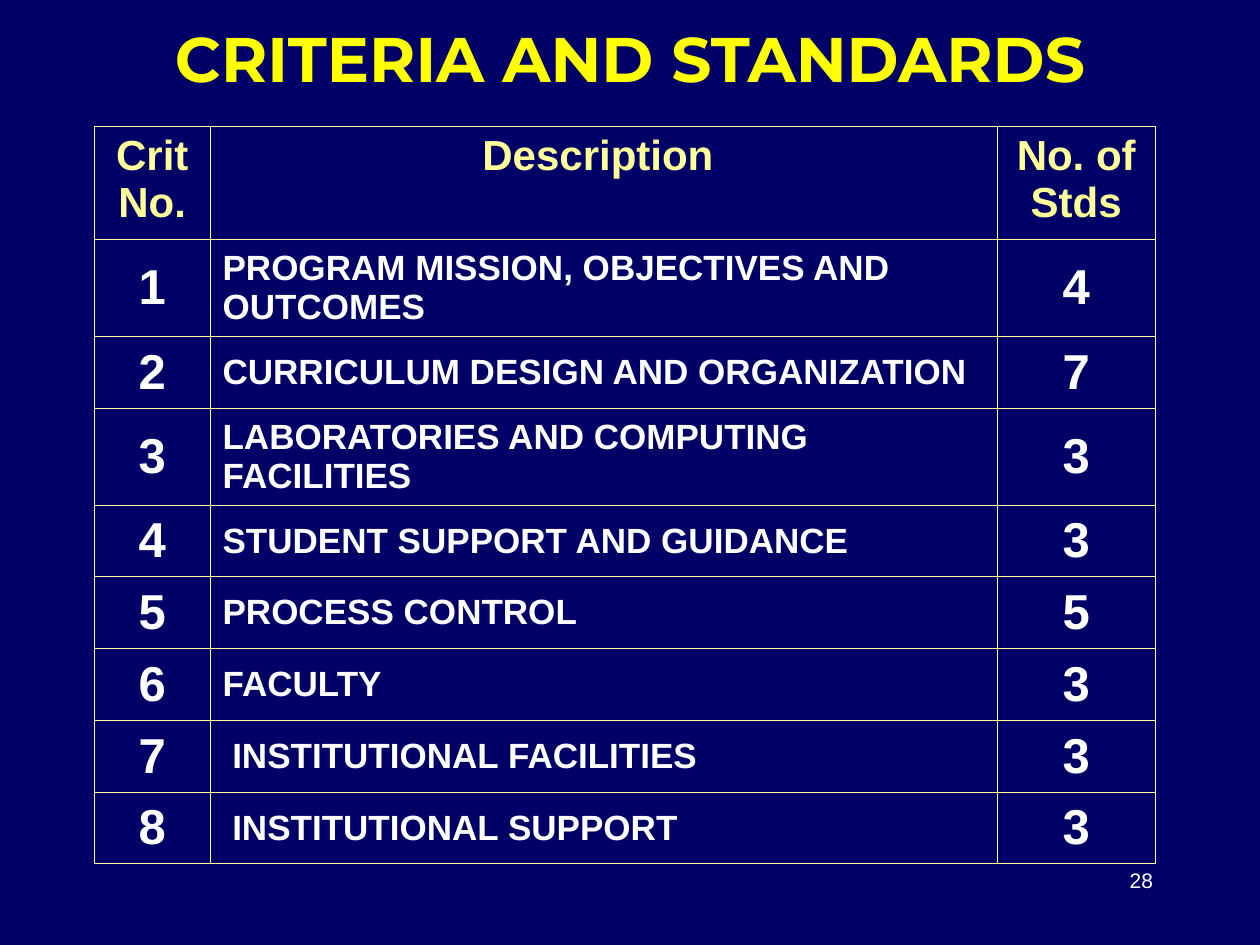
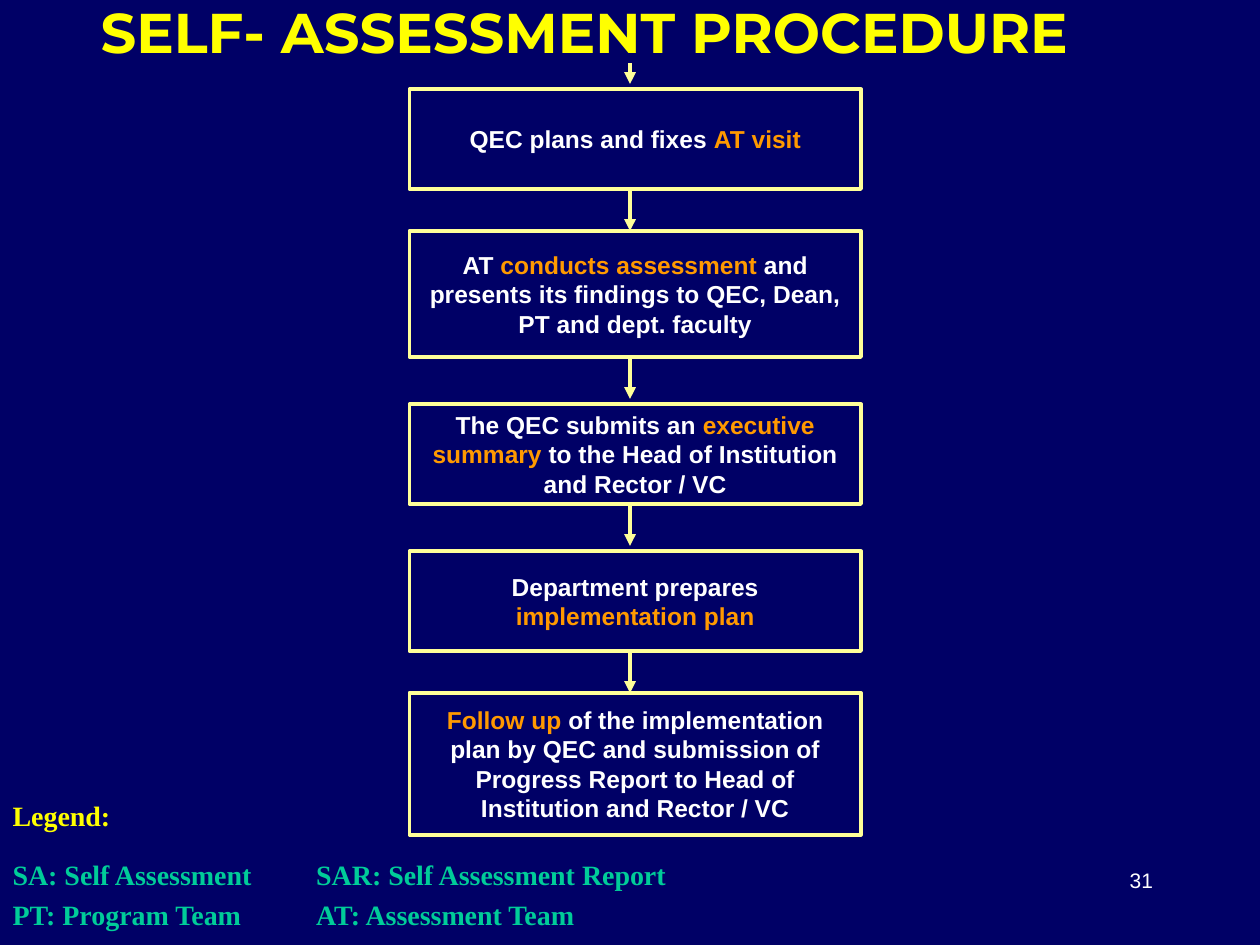
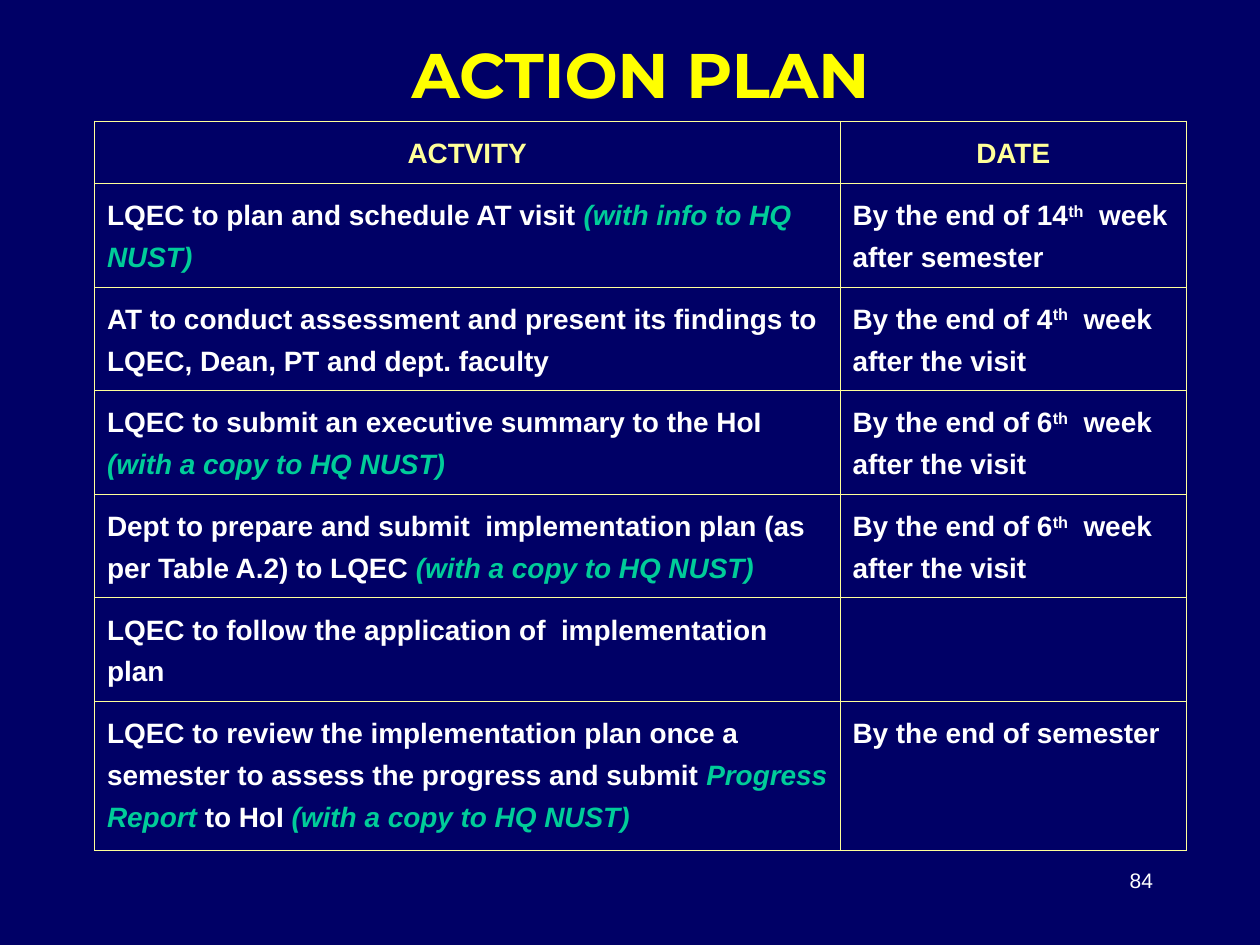
from dataclasses import dataclass
from typing import NamedTuple

from lxml import etree
from pptx import Presentation
from pptx.dml.color import RGBColor
from pptx.enum.shapes import MSO_CONNECTOR as CONNECTOR, MSO_SHAPE as SHAPE
from pptx.enum.text import MSO_ANCHOR as ANCHOR, PP_ALIGN as ALIGN
from pptx.oxml.ns import qn
from pptx.util import Pt

NAVY = RGBColor(0x00, 0x00, 0x66)
YELLOW = RGBColor(0xFF, 0xFF, 0x00)
CREAM = RGBColor(0xFF, 0xFF, 0x99)
ORANGE = RGBColor(0xFF, 0x99, 0x00)
GREEN = RGBColor(0x00, 0xCC, 0x99)
WHITE = RGBColor(0xFF, 0xFF, 0xFF)

BODY_FONT, TITLE_FONT, LEGEND_FONT = "Arial", "Montserrat", "Times New Roman"
PLAIN_TABLE = "{2D5ABB26-0587-4C30-8999-92F81FD0307C}"


class Span(NamedTuple):
    """A piece of text that departs from the format of its paragraph."""
    text: str
    color: RGBColor | None = None
    italic: bool = False
    superscript: bool = False


class Box(NamedTuple):
    """A rectangle in points."""
    left: float
    top: float
    width: float
    height: float


@dataclass
class Style:
    """The text format of a table cell."""
    size: float
    color: RGBColor = WHITE
    align: ALIGN = ALIGN.LEFT
    anchor: ANCHOR = ANCHOR.TOP
    font: str = BODY_FONT
    spacing: float | None = None


@dataclass
class Grid:
    """The place and track sizes of a table."""
    left: float
    top: float
    cols: list[float]
    rows: list[float]
    border: RGBColor | None = None


@dataclass
class Step:
    """A box of the procedure."""
    top: float
    height: float
    text: list


def write(tf, text, *, size, color=WHITE, font=BODY_FONT, bold=True,
          align=ALIGN.LEFT, spacing=None) -> None:
    """Fill a text frame with one paragraph of strings and spans."""
    p = tf.paragraphs[0]
    p.alignment = align
    if spacing:
        p.line_spacing = spacing
    for part in [text] if isinstance(text, str) else text:
        span = Span(part) if isinstance(part, str) else part
        r = p.add_run()
        r.text = span.text
        f = r.font
        f.name, f.size, f.bold = font, Pt(size), bold
        f.italic = span.italic
        f.color.rgb = span.color or color
        if span.superscript:
            r._r.get_or_add_rPr().set("baseline", "30000")


def add_text(s, box: Box, text, anchor=ANCHOR.TOP, **fmt) -> None:
    """Add a wrapped text box."""
    tf = s.shapes.add_textbox(*map(Pt, box)).text_frame
    tf.word_wrap = True
    tf.vertical_anchor = anchor
    write(tf, text, **fmt)


def add_slide(prs, title: str, box: Box, number: int, *, size=36,
              align=ALIGN.CENTER):
    """Add a slide with its title and page number."""
    s = prs.slides.add_slide(prs.slide_layouts[6])
    add_text(s, box, title, ANCHOR.MIDDLE, size=size, color=YELLOW,
             font=TITLE_FONT, align=align)
    add_text(s, Box(516, 492, 150, 36), str(number), size=12, bold=False,
             align=ALIGN.RIGHT)
    return s


def add_borders(cell, color: RGBColor) -> None:
    """Draw a thin line on the four sides of a cell."""
    tc_pr = cell._tc.get_or_add_tcPr()
    for side in ("a:lnL", "a:lnR", "a:lnT", "a:lnB"):
        ln = etree.SubElement(tc_pr, qn(side), w=str(Pt(0.45)))
        fill = etree.SubElement(ln, qn("a:solidFill"))
        etree.SubElement(fill, qn("a:srgbClr"), val=str(color))


def add_grid(s, grid: Grid, rows: list, header: list[Style],
             body: list[Style]) -> None:
    """Add a table whose columns each have a header and a body style."""
    frame = s.shapes.add_table(
        len(grid.rows), len(grid.cols), Pt(grid.left), Pt(grid.top),
        Pt(sum(grid.cols)), Pt(sum(grid.rows)))
    table = frame.table
    table.first_row = table.horz_banding = False
    table._tbl.tblPr.find(qn("a:tableStyleId")).text = PLAIN_TABLE
    for col, width in zip(table.columns, grid.cols):
        col.width = Pt(width)
    for i, (row, height, texts) in enumerate(
            zip(table.rows, grid.rows, rows)):
        row.height = Pt(height)
        for cell, text, style in zip(row.cells, texts, body if i else header):
            if grid.border:
                add_borders(cell, grid.border)
            cell.fill.background()
            cell.vertical_anchor = style.anchor
            if text:
                write(cell.text_frame, text, size=style.size,
                      color=style.color, font=style.font, align=style.align,
                      spacing=style.spacing)


def add_step(s, step: Step) -> None:
    """Add an outlined box of the procedure."""
    sp = s.shapes.add_shape(SHAPE.RECTANGLE, Pt(234), Pt(step.top), Pt(258),
                            Pt(step.height))
    sp.shadow.inherit = False
    sp.fill.background()
    sp.line.color.rgb = CREAM
    sp.line.width = Pt(2.2)
    tf = sp.text_frame
    tf.word_wrap = True
    tf.vertical_anchor = ANCHOR.MIDDLE
    write(tf, step.text, size=14, align=ALIGN.CENTER)


def add_arrow(s, top: float, length: float) -> None:
    """Add a downward arrow on the centre line."""
    c = s.shapes.add_connector(CONNECTOR.STRAIGHT, Pt(360), Pt(top), Pt(360),
                               Pt(top + length))
    c.line.color.rgb = CREAM
    c.line.width = Pt(2.25)
    etree.SubElement(c.line._get_or_add_ln(), qn("a:tailEnd"),
                     type="triangle")
    etree.SubElement(c._element.spPr, qn("a:effectLst"))


def criteria_slide(prs) -> None:
    """Build the table of criteria."""
    s = add_slide(prs, "CRITERIA AND STANDARDS", Box(54, 6, 612, 54), 28)
    criteria = [
        ("PROGRAM MISSION, OBJECTIVES AND OUTCOMES", 4),
        ("CURRICULUM DESIGN AND ORGANIZATION", 7),
        ("LABORATORIES AND COMPUTING FACILITIES", 3),
        ("STUDENT SUPPORT AND GUIDANCE", 3),
        ("PROCESS CONTROL", 5),
        ("FACULTY", 3),
        (" INSTITUTIONAL FACILITIES", 3),
        (" INSTITUTIONAL SUPPORT", 3),
    ]
    rows = [("Crit No.", "Description ", "No. of Stds")]
    rows += [(str(i), name, str(count))
             for i, (name, count) in enumerate(criteria, 1)]
    one_line, two_lines = 41, 55.4
    grid = Grid(54, 72, [66, 450, 90],
                [64.8, two_lines, one_line, two_lines] + [one_line] * 5,
                CREAM)
    head = Style(24, CREAM, ALIGN.CENTER)
    number = Style(28, align=ALIGN.CENTER, anchor=ANCHOR.MIDDLE)
    name = Style(20, anchor=ANCHOR.MIDDLE)
    add_grid(s, grid, rows, [head] * 3, [number, name, number])


def procedure_slide(prs) -> None:
    """Build the flow of the procedure and its legend."""
    s = add_slide(prs, "SELF- ASSESSMENT PROCEDURE", Box(50.4, 0, 634, 36),
                  31, size=32, align=ALIGN.LEFT)
    steps = [
        Step(51, 57, ["QEC plans and fixes ", Span("AT visit", ORANGE)]),
        Step(132, 72, ["AT ", Span("conducts assessment", ORANGE),
                       " and presents its findings to QEC, Dean, "
                       "PT and dept. faculty"]),
        Step(231, 57, ["The QEC submits an ",
                       Span("executive summary", ORANGE),
                       " to the Head of Institution and Rector / VC"]),
        Step(315, 57, ["Department prepares ",
                       Span("implementation plan", ORANGE)]),
        Step(396, 81, [Span("Follow up", ORANGE),
                       " of the implementation plan by QEC and submission of "
                       "Progress Report to Head of Institution and "
                       "Rector / VC"]),
    ]
    for step in steps:
        add_step(s, step)
    add_arrow(s, 36, 12)
    for step in steps[:-1]:
        add_arrow(s, step.top + step.height, 24)

    legend = [
        ("Legend:", ""),
        ("SA: Self Assessment", "SAR: Self Assessment Report"),
        ("PT: Program Team", "AT: Assessment Team"),
    ]
    head, entry = (Style(16, color, font=LEGEND_FONT, spacing=0.8)
                   for color in (YELLOW, GREEN))
    add_grid(s, Grid(0, 457.2, [173.5, 216.5], [33.7, 22.8, 22.8]), legend,
             [head] * 2, [entry] * 2)


def week(number: int, event: str) -> list:
    """Return a deadline with a raised ordinal ending."""
    return [f"By the end of {number}", Span("th", superscript=True),
            f"  week after {event}"]


def plan_slide(prs) -> None:
    """Build the table of activities and dates."""
    s = add_slide(prs, "ACTION PLAN", Box(60, 18, 612, 48), 84)
    copy_note = Span("(with a copy to HQ NUST)", GREEN, italic=True)
    rows = [
        ("ACTVITY", "DATE"),
        (["LQEC to plan and schedule AT visit ",
          Span("(with info to HQ NUST)", GREEN, italic=True)],
         week(14, "semester")),
        ("AT to conduct assessment and present its findings to LQEC, Dean, "
         "PT and dept. faculty", week(4, "the visit")),
        (["LQEC to submit an executive summary to the HoI ", copy_note],
         week(6, "the visit")),
        (["Dept to prepare and submit  implementation plan (as per Table "
          "A.2) to LQEC ", copy_note], week(6, "the visit")),
        ("LQEC to follow the application of  implementation plan", ""),
        (["LQEC to review the implementation plan once a semester to assess "
          "the progress and submit ",
          Span("Progress Report", GREEN, italic=True), " to HoI ", copy_note],
         "By the end of semester"),
    ]
    grid = Grid(54, 69.2, [426, 198], [35.6] + [59.2] * 5 + [85], CREAM)
    head = Style(16, CREAM, ALIGN.CENTER, spacing=1.35)
    entry = Style(16, spacing=1.35)
    add_grid(s, grid, rows, [head] * 2, [entry] * 2)


def main() -> None:
    """Build and save the presentation."""
    prs = Presentation()
    prs.slide_width, prs.slide_height = Pt(720), Pt(540)
    fill = prs.slide_master.background.fill
    fill.solid()
    fill.fore_color.rgb = NAVY
    criteria_slide(prs)
    procedure_slide(prs)
    plan_slide(prs)
    prs.save("out.pptx")


if __name__ == "__main__":
    main()
